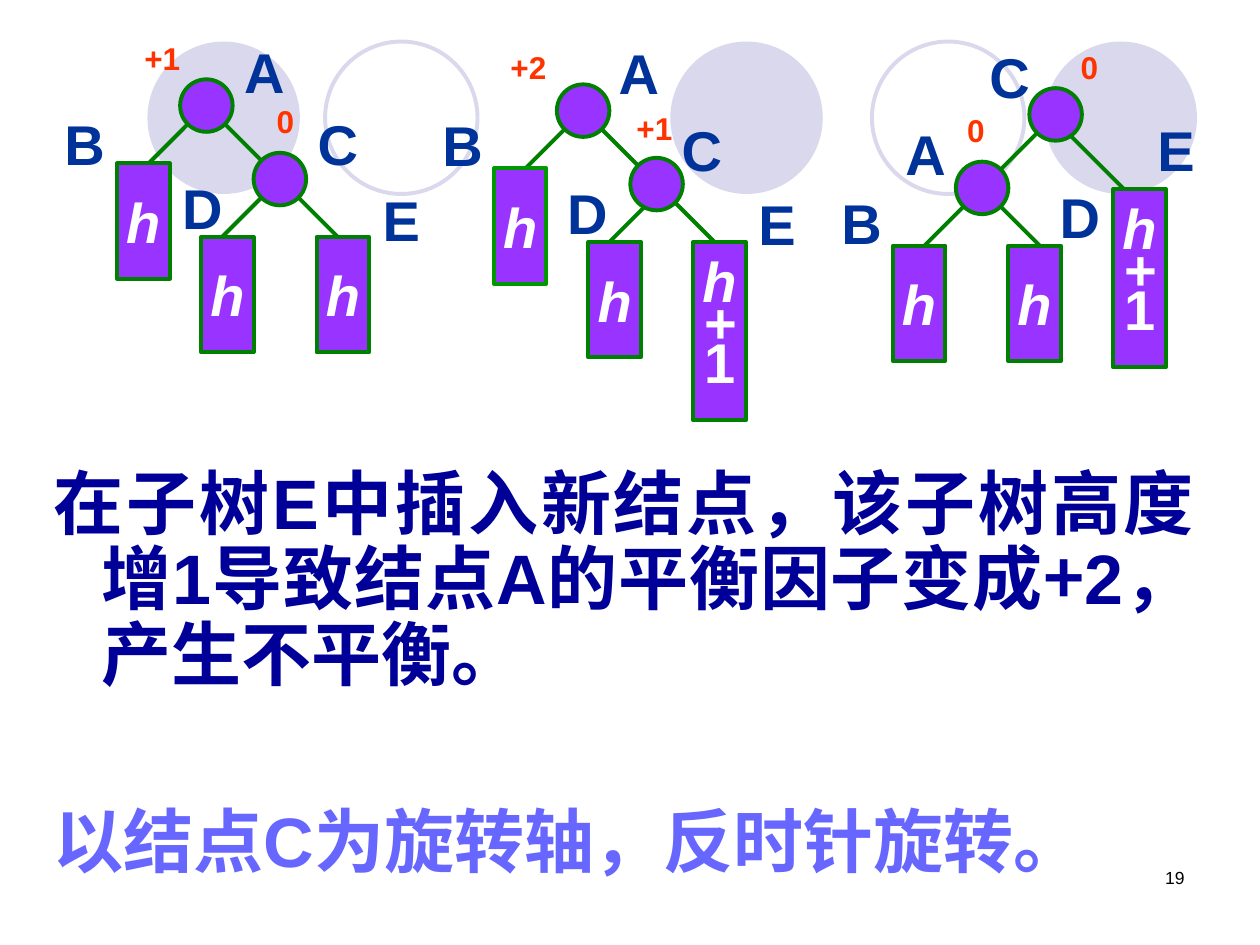
from pptx import Presentation
from pptx.dml.color import RGBColor
from pptx.enum.shapes import MSO_CONNECTOR, MSO_SHAPE
from pptx.enum.text import MSO_ANCHOR, MSO_AUTO_SIZE, PP_ALIGN
from pptx.oxml.ns import qn
from pptx.util import Inches, Pt
from lxml import etree

OVAL, RECT = MSO_SHAPE.OVAL, MSO_SHAPE.RECTANGLE
LINE = MSO_CONNECTOR.STRAIGHT
MID, TOP = MSO_ANCHOR.MIDDLE, MSO_ANCHOR.TOP
GROW, FIXED = MSO_AUTO_SIZE.SHAPE_TO_FIT_TEXT, MSO_AUTO_SIZE.NONE
LEFT, CENTER, RIGHT, JUST = (
    PP_ALIGN.LEFT, PP_ALIGN.CENTER, PP_ALIGN.RIGHT, PP_ALIGN.JUSTIFY)
PALE = RGBColor(0xD9, 0xD8, 0xEC)
PURPLE = RGBColor(0x99, 0x33, 0xFF)
GREEN = RGBColor(0x00, 0x80, 0x00)
LIGHT = RGBColor(0x00, 0x99, 0x00)
BLUE = RGBColor(0x00, 0x33, 0x99)
NAVY = RGBColor(0x00, 0x00, 0x99)
VIOLET = RGBColor(0x67, 0x67, 0xFF)
RED = RGBColor(0xFF, 0x33, 0x00)
WHITE = RGBColor(0xFF, 0xFF, 0xFF)
BLACK = RGBColor(0x00, 0x00, 0x00)
CJK = "Noto Sans CJK SC"

UNIT = 1 / 12
NODE = 5
DISC = 1.21
DISCS = [(5.32, True), (8.29, True), (1.17, True), (6.92, False), (2.58, False)]

TREES = [
    {"at": (1.43, 0.63),
     "edges": [(4, 4, 6), (11, 11, 6), (1, 4, -5), (8, 11, -5)],
     "nodes": [(0, 0), (7, 7)],
     "boxes": [(-6, 8, "h", GREEN), (2, 15, "h", GREEN), (13, 15, "h", GREEN)],
     "names": [("A", 4.9, -4.6), ("C", 11.9, 2.3), ("E", 18.1, 9.5),
               ("B", -12.2, 2.3), ("D", -1, 8.4)],
     "marks": [("+1", -4.6, -4.4), ("0", 8, 1.6)]},
    {"at": (4.42, 0.67),
     "edges": [(10, 10, 6), (10, 10, -5), (1, 4, -5), (3, 3, 6)],
     "nodes": [(7, 7), (0, 0)],
     "boxes": [(3, 15, "h", GREEN), (-6, 8, "h", LIGHT), (13, 15, "h+1", GREEN)],
     "names": [("B", -12.1, 1.9), ("A", 4.7, -5), ("C", 10.7, 2.4),
               ("E", 18, 9.4), ("D", -0.2, 8.4)],
     "marks": [("+2", -5.6, -4.1), ("+1", 6.4, 1.8)]},
    {"at": (8.17, 0.7),
     "edges": [(-6, 11, -5), (-3, 11, 6), (3, 3.6, 6), (1, 4, -5)],
     "nodes": [(-7, 7), (0, 0)],
     "boxes": [(-13, 15, "h", GREEN), (-2, 15, "h", GREEN), (8, 9.6, "h+1", GREEN)],
     "names": [("C", -5, -4.9), ("E", 11, 2), ("A", -13, 2.4),
               ("B", -19.1, 9), ("D", 1.7, 8.4)],
     "marks": [("0", -7.1, 1.6), ("0", 3.7, -4.4)]},
]
BODY = [
    ([("在子树E中插入新结点，该子树高度增1导致结点A的平衡因子变成", "Arial"),
      ("+", CJK), ("2，产生不平衡。", "Arial")], NAVY, 0),
    ([("以结点C为旋转轴，反时针旋转。", "Arial")], VIOLET, 64),
]

deck = Presentation()
deck.slide_width, deck.slide_height = Inches(10), Inches(7.5)
slide = deck.slides.add_slide(deck.slide_layouts[6])
shapes = slide.shapes


def style(item, **form):
    for key, value in form.items():
        setattr(item, key, value)


def add_run(para, text, size, color, name="Arial", bold=True, italic=False):
    run = para.add_run()
    run.text = text
    style(run.font, size=Pt(size), name=name, bold=bold, italic=italic)
    run.font.color.rgb = color
    east = etree.SubElement(run.font._element, qn("a:ea"))
    east.set("typeface", CJK)


def add_form(kind, left, top, wide, high, fill, edge):
    form = shapes.add_shape(kind, *map(Inches, (left, top, wide, high)))
    form.shadow.inherit = False
    if fill is None:
        form.fill.background()
    else:
        form.fill.solid()
        form.fill.fore_color.rgb = fill
    if edge is None:
        form.line.fill.background()
    else:
        form.line.color.rgb = edge
        form.line.width = Pt(2.25)
    return form


def add_text(left, top, wide, high, wrap=True, fit=FIXED):
    box = shapes.add_textbox(*map(Inches, (left, top, wide, high)))
    style(box.text_frame, word_wrap=wrap, auto_size=fit, vertical_anchor=TOP)
    return box.text_frame


def add_edge(left, top, run):
    ends = left, top, left + run, top + abs(run)
    edge = shapes.add_connector(LINE, *map(Inches, ends))
    edge.line.color.rgb = GREEN
    edge.line.width = Pt(2.25)
    etree.SubElement(edge._element.spPr, qn("a:effectLst"))


def add_box(left, top, text, edge):
    high = 11 if len(text) == 1 else 17
    box = add_form(RECT, left, top, NODE * UNIT, high * UNIT, PURPLE, edge)
    frame = box.text_frame
    style(frame, word_wrap=False, vertical_anchor=MID)
    for i, sign in enumerate(text):
        para = frame.add_paragraph() if i else frame.paragraphs[0]
        style(para, alignment=CENTER, line_spacing=1.0 if len(text) == 1 else 0.6)
        add_run(para, sign, 32, WHITE, italic=sign != "1")


def add_label(left, top, text, wide, high, size, color):
    para = add_text(left, top, wide, high, False, GROW).paragraphs[0]
    para.alignment = LEFT
    add_run(para, text, size, color)


def add_tree(tree):
    def place(x, y):
        return tree["at"][0] + x * UNIT, tree["at"][1] + y * UNIT

    for x, y, run in tree["edges"]:
        add_edge(*place(x, y), run * UNIT)
    for x, y in tree["nodes"]:
        add_form(OVAL, *place(x, y), NODE * UNIT, NODE * UNIT, PURPLE, GREEN)
    for x, y, text, edge in tree["boxes"]:
        add_box(*place(x, y), text, edge)
    for text, x, y in tree["names"]:
        add_label(*place(x, y), text, 0.49 if text == "E" else 0.52, 0.64, 32, BLUE)
    for text, x, y in tree["marks"]:
        add_label(*place(x, y), text, 0.18 + 0.16 * len(text), 0.4, 18, RED)


for left, full in DISCS:
    add_form(OVAL, left, 0.33, DISC, DISC,
             PALE if full else None, None if full else PALE)
for tree in TREES:
    add_tree(tree)

frame = add_text(0.33, 3.67, 9.25, 3.62)
for i, (runs, color, gap) in enumerate(BODY):
    para = frame.add_paragraph() if i else frame.paragraphs[0]
    style(para, alignment=JUST, line_spacing=0.9, space_before=Pt(gap))
    props = para._p.get_or_add_pPr()
    props.set("marL", str(Inches(0.38)))
    props.set("indent", str(Inches(-0.38)))
    for text, name in runs:
        add_run(para, text, 40, color, name)

para = add_text(7.17, 6.83, 2.33, 0.5).paragraphs[0]
para.alignment = RIGHT
add_run(para, "19", 10, BLACK, bold=False)

deck.save("out.pptx")
